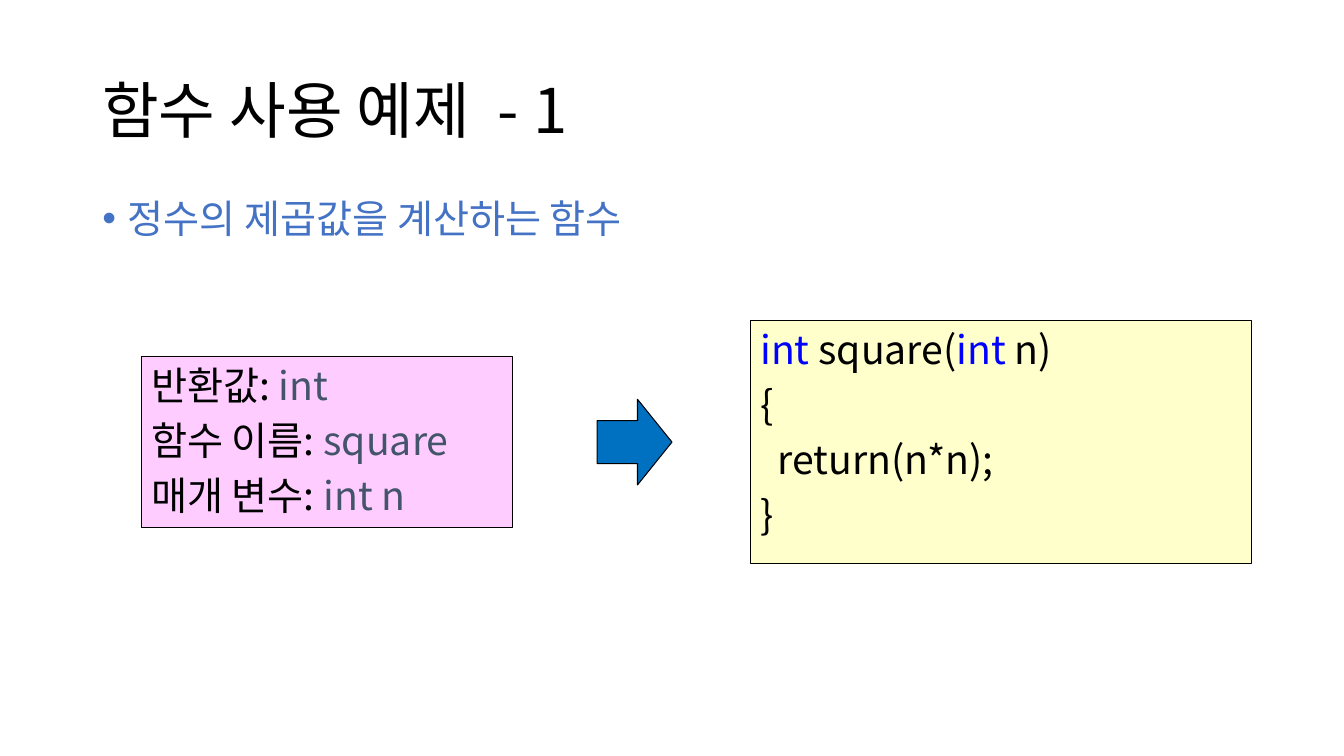
from pptx import Presentation
from pptx.dml.color import RGBColor
from pptx.enum.shapes import MSO_SHAPE as SHAPE
from pptx.enum.text import MSO_ANCHOR as ANCHOR, PP_ALIGN as ALIGN
from pptx.oxml.ns import qn
from pptx.util import Pt
from lxml.etree import SubElement

BLACK, BLUE, SLATE, KEYWORD = "000000", "4472C4", "44546A", "0000FF"


def rgb(color):
    return RGBColor.from_string(color)


class Deck:
    font = "Noto Sans CJK KR"

    def __init__(self, width, height):
        self.prs = Presentation()
        self.prs.slide_width, self.prs.slide_height = Pt(width), Pt(height)
        self.s = self.prs.slides.add_slide(self.prs.slide_layouts[6])

    def add_lines(self, sp, lines, size, anchor=ANCHOR.TOP, before=0, spacing=1.0,
                  indent=0, bullet=None):
        """Each line is a list of (text, color) runs."""
        tf = sp.text_frame
        tf.word_wrap = True
        tf.vertical_anchor = anchor
        for i, runs in enumerate(lines):
            p = tf.paragraphs[0] if i == 0 else tf.add_paragraph()
            p.alignment = ALIGN.LEFT
            p.space_before, p.line_spacing = Pt(before), spacing
            pPr = p._p.get_or_add_pPr()
            pPr.set("marL", str(Pt(indent)))
            pPr.set("indent", str(Pt(-indent)))
            if bullet:
                SubElement(pPr, qn("a:buFont"), typeface="Arial")
                SubElement(pPr, qn("a:buChar"), char=bullet)
            for text, color in runs:
                r = p.add_run()
                r.text = text
                r.font.size, r.font.name = Pt(size), self.font
                r.font.color.rgb = rgb(color)
                SubElement(r._r.get_or_add_rPr(), qn("a:ea"), typeface=self.font)

    def text(self, box, lines, size, **style):
        sp = self.s.shapes.add_textbox(*map(Pt, box))
        self.add_lines(sp, lines, size, **style)

    def shape(self, kind, box, fill):
        sp = self.s.shapes.add_shape(kind, *map(Pt, box))
        sp.shadow.inherit = False
        sp.fill.solid()
        sp.fill.fore_color.rgb = rgb(fill)
        sp.line.color.rgb = rgb(BLACK)
        sp.line.width = Pt(0.75)
        return sp

    def panel(self, box, fill, lines):
        sp = self.shape(SHAPE.RECTANGLE, box, fill)
        self.add_lines(sp, lines, 28, before=5.6, indent=27)


deck = Deck(960, 540)

# Title and topic
deck.text((66, 28.75, 828, 104.4), [[("함수 사용 예제  - 1", BLACK)]], 44,
          anchor=ANCHOR.MIDDLE, spacing=0.9)
deck.text((66, 139, 828, 342.6), [[("정수의 제곱값을 계산하는 함수", BLUE)]], 28,
          before=10, spacing=0.9, indent=18, bullet="•")

# Function description
parts = [("반환값: ", "int"), ("함수 이름: ", "square"), ("매개 변수: ", "int n")]
deck.panel((100.9, 254.9, 265.5, 122), "FFCCFF",
           [[(label, BLACK), (value, SLATE)] for label, value in parts])

# Arrow from description to code
arrow = deck.shape(SHAPE.RIGHT_ARROW, (426.5, 285.2, 53.5, 61.2), "0070C0")
arrow.adjustments[0], arrow.adjustments[1] = 0.5, 0.46

# Function code
deck.panel((536, 229, 357.8, 173.5), "FFFFCC", [
    [("int", KEYWORD), (" square(", BLACK), ("int", KEYWORD), (" n)", BLACK)],
    [("{", BLACK)],
    [("\u00a0\u00a0return(n*n);", BLACK)],
    [("}", BLACK)],
])

deck.prs.save("out.pptx")
